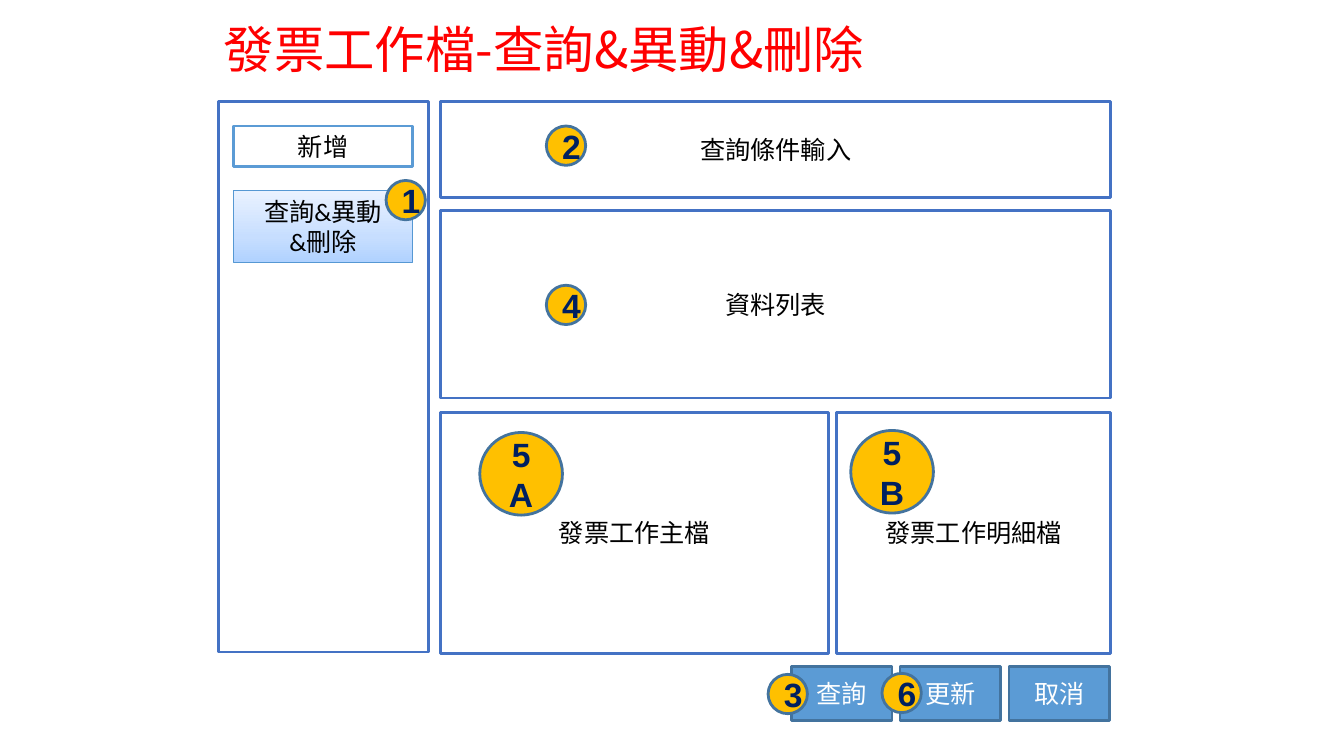
from copy import deepcopy
from dataclasses import dataclass

from lxml import etree
from pptx import Presentation
from pptx.dml import color
from pptx.enum import shapes, text
from pptx.oxml import ns
from pptx.util import Pt

CJK_FONT = "Noto Sans CJK SC"
PANEL_LINE, BUTTON_LINE = "4472C4", "43739E"
MAIN_LEFT, MAIN_WIDTH = 314.64, 478.8
SIDEBAR_LEFT, PANEL_TOP = 156.24, 72.72
MENU_LEFT, MENU_WIDTH = 167.04, 127.44
BUTTON_LEFT, BUTTON_TOP, BUTTON_STEP = 565.2, 475.92, 77.76
SMALL, LARGE = 28.08, 59.04


@dataclass
class Box:
    label: str
    left: float
    top: float
    width: float
    height: float
    fill: str = "FFFFFF"
    line: str = PANEL_LINE
    line_width: float = 2
    font: str = "Arial"
    size: float = 18
    color: str = "000000"
    bold: bool = False
    kind: shapes.MSO_SHAPE = shapes.MSO_SHAPE.RECTANGLE


@dataclass
class Badge:
    label: str
    left: float
    top: float
    diameter: float = SMALL


def rgb(value: str) -> color.RGBColor:
    return color.RGBColor.from_string(value)


def style_paragraph(paragraph, name: str, size: float, value: str, bold: bool = False) -> None:
    font = paragraph.font
    font.size = Pt(size)
    font.bold = bold
    font.color.rgb = rgb(value)
    font.name = name
    east_asian = etree.SubElement(font._element, ns.qn("a:ea"))
    east_asian.set("typeface", CJK_FONT)


def draw_box(slide, box: Box):
    shape = slide.shapes.add_shape(
        box.kind, Pt(box.left), Pt(box.top), Pt(box.width), Pt(box.height))
    shape.shadow.inherit = False
    shape.fill.solid()
    shape.fill.fore_color.rgb = rgb(box.fill)
    shape.line.color.rgb = rgb(box.line)
    shape.line.width = Pt(box.line_width)
    if box.label:
        frame = shape.text_frame
        frame.text = box.label
        frame.vertical_anchor = text.MSO_ANCHOR.MIDDLE
        for paragraph in frame.paragraphs:
            paragraph.alignment = text.PP_ALIGN.CENTER
            style_paragraph(paragraph, box.font, box.size, box.color, box.bold)
    return shape


def draw_badge(slide, badge: Badge) -> None:
    draw_box(slide, Box(
        badge.label, badge.left, badge.top, badge.diameter, badge.diameter,
        fill="FFC000", line=BUTTON_LINE, size=24, color="002060", bold=True,
        kind=shapes.MSO_SHAPE.OVAL))


def shade(shape) -> None:
    shape.fill.gradient()
    shape.fill.gradient_angle = 90
    first = shape._element.spPr.find(".//" + ns.qn("a:gs"))
    middle = deepcopy(first)
    first.addnext(middle)
    stops = ((0, "B0D2FF"), (0.35, "C7DEFF"), (1, "EAF2FF"))
    for stop, (position, value) in zip(shape.fill.gradient_stops, stops):
        stop.position = position
        stop.color.rgb = rgb(value)


def draw_title(slide) -> None:
    title = slide.shapes.add_textbox(Pt(SIDEBAR_LEFT), Pt(12.24), Pt(648), Pt(50.4))
    frame = title.text_frame
    frame.word_wrap = True
    frame.vertical_anchor = text.MSO_ANCHOR.MIDDLE
    frame.margin_left = frame.margin_right = Pt(3.6)
    frame.margin_top = frame.margin_bottom = Pt(3.6)
    paragraph = frame.paragraphs[0]
    paragraph.text = "發票工作檔-查詢&異動&刪除"
    paragraph.line_spacing = 0.9
    style_paragraph(paragraph, CJK_FONT, 36, "FF0000")


PANELS = [
    Box("", SIDEBAR_LEFT, PANEL_TOP, 149.76, 393.12),
    Box("查詢條件輸入", MAIN_LEFT, PANEL_TOP, MAIN_WIDTH, 68.4),
    Box("資料列表", MAIN_LEFT, 150.48, MAIN_WIDTH, 133.92),
    Box("發票工作主檔", MAIN_LEFT, 294.48, 277.2, 172.08),
    Box("發票工作明細檔", 597.6, 294.48, 195.84, 172.08),
    Box("新增", MENU_LEFT, 90, MENU_WIDTH, 28.8, line="5B9BD5", font="Calibri"),
]
ACTIVE_MENU = Box("查詢&異動\n&刪除", MENU_LEFT, 136.08, MENU_WIDTH, 51.12,
                  line="5698D3", line_width=0.75, font="Calibri")
BUTTONS = [
    Box(label, BUTTON_LEFT + index * BUTTON_STEP, BUTTON_TOP, 72, 38.88,
        fill="5B9BD5", line=BUTTON_LINE, color="FFFFFF")
    for index, label in enumerate(("查詢", "更新", "取消"))
]
BADGES = [
    Badge("1", 275.76, 128.88),
    Badge("2", 390.24, 90),
    Badge("3", 548.64, 481.68),
    Badge("4", 390.24, 203.76),
    Badge("5A", 342.72, 308.88, LARGE),
    Badge("5B", 607.68, 307.44, LARGE),
    Badge("6", 630, 480.96),
]


def main() -> None:
    presentation = Presentation()
    presentation.slide_width, presentation.slide_height = Pt(960), Pt(540)
    slide = presentation.slides.add_slide(presentation.slide_layouts[6])
    draw_title(slide)
    for box in PANELS + BUTTONS:
        draw_box(slide, box)
    shade(draw_box(slide, ACTIVE_MENU))
    for badge in BADGES:
        draw_badge(slide, badge)
    presentation.save("out.pptx")


if __name__ == "__main__":
    main()
